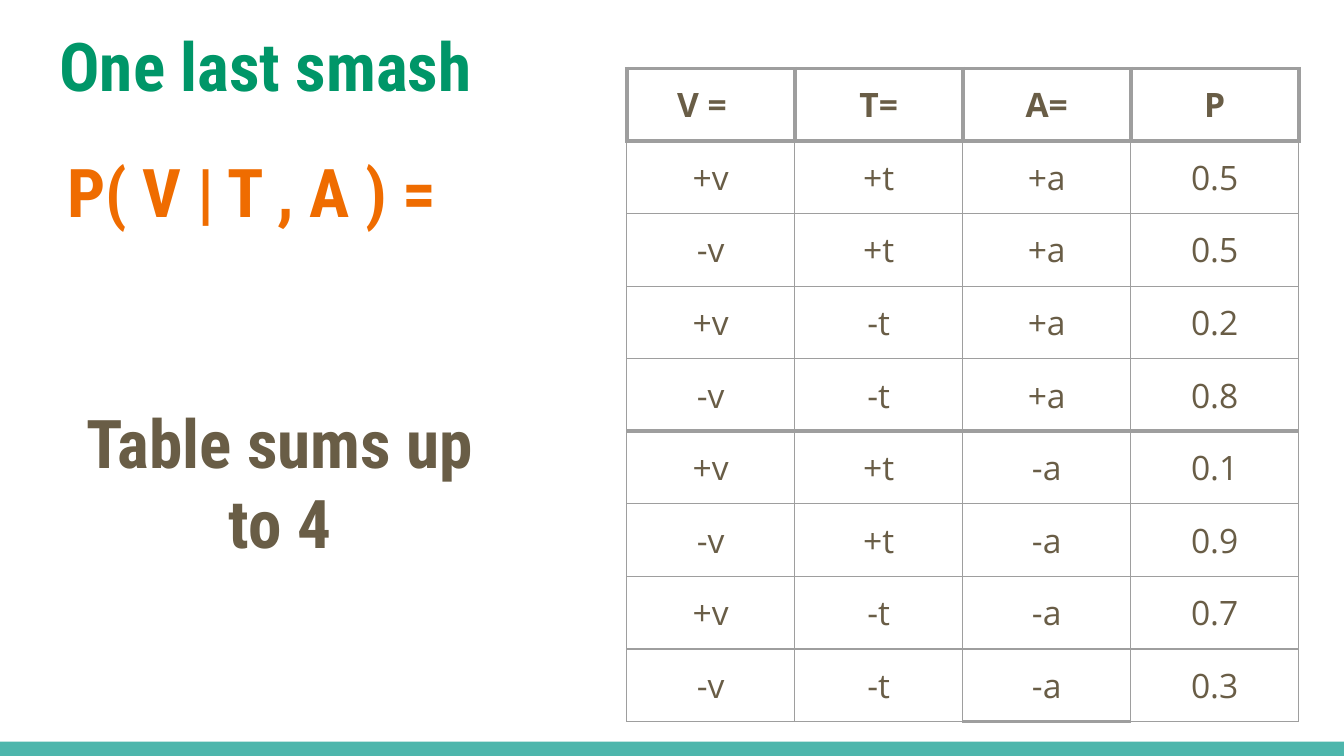
from itertools import product
from lxml.etree import SubElement as Sub
from pptx import Presentation
from pptx.dml.color import RGBColor as RGB
from pptx.enum.shapes import MSO_SHAPE as Shape
from pptx.enum.text import MSO_ANCHOR as Anchor, PP_ALIGN as Align
from pptx.oxml.ns import qn
from pptx.util import Inches, Pt

WIDE = 10
HIGH = WIDE * 9 / 16
INK = {"bar": "4DB6AC", "title": "009668", "math": "EF6C00", "text": "695D46", "line": "9E9E9E"}
HEAD = ["V =", "T=", "A=", "P"]
ODDS = ["0.5", "0.5", "0.2", "0.8", "0.1", "0.9", "0.7", "0.3"]
THIN, THICK = 0.75, 2.25


def place(left, top, width, height):
    """Turn percent shares of the slide into lengths."""
    return [Inches(share * side / 100) for share, side in
            zip((left, top, width, height), (WIDE, HIGH, WIDE, HIGH))]


def style(para, face, size, ink, bold=True, align=Align.LEFT):
    """Format a paragraph and its runs."""
    para.alignment = align
    for run in para.runs:
        font = run.font
        font.name, font.size, font.bold = face, Pt(size), bold
        font.color.rgb = RGB.from_string(INK[ink])


def add_bar(slide):
    """Draw the band along the foot of the slide."""
    bar = slide.shapes.add_shape(Shape.RECTANGLE, *place(0, 98.1, 100, 1.9))
    bar.shadow.inherit = False
    bar.fill.solid()
    bar.fill.fore_color.rgb = RGB.from_string(INK["bar"])
    bar.line.fill.background()


def add_text(slide, text, area, ink, align=Align.LEFT):
    """Add a large bold heading."""
    frame = slide.shapes.add_textbox(*place(*area)).text_frame
    frame.word_wrap = True
    frame.margin_left = frame.margin_right = Inches(0.1)
    frame.margin_top = frame.margin_bottom = Inches(0.1)
    frame.text = text
    style(frame.paragraphs[0], "Roboto Condensed", 36, ink, align=align)


def add_edges(cell, sides):
    """Rule the four sides of a cell with the given widths."""
    props = cell._tc.get_or_add_tcPr()
    for spot, (side, width) in enumerate(sides.items()):
        edge = Sub(props, qn(f"a:ln{side}"), w=str(Pt(width)))
        fill = Sub(edge, qn("a:solidFill"))
        Sub(fill, qn("a:srgbClr"), val=INK["line"])
        props.insert(spot, edge)


def get_sides(row, col):
    """Give the rule widths for a cell by its place."""
    base = THIN if row else THICK
    top = THICK if row in (0, 1, 5) else THIN
    foot = THICK if row in (0, 4) or (row, col) == (8, 2) else THIN
    return {"L": base, "R": base, "T": top, "B": foot}


def fill_cell(cell, text, row, col):
    """Write, format and rule one cell."""
    cell.fill.background()
    cell.vertical_anchor = Anchor.MIDDLE
    cell.margin_left = cell.margin_right = Inches(0.1)
    cell.margin_top = cell.margin_bottom = Inches(0.1)
    cell.text = text
    style(cell.text_frame.paragraphs[0], "Open Sans", 18, "text", row == 0, Align.CENTER)
    add_edges(cell, get_sides(row, col))


def add_odds(slide):
    """Build the table of conditional odds."""
    states = product(("+a", "-a"), ("+t", "-t"), ("+v", "-v"))
    rows = [HEAD] + [[v, t, a, odd] for (a, t, v), odd in zip(states, ODDS)]
    area = place(46.63, 9.07, 50, 86.4)
    table = slide.shapes.add_table(len(rows), len(HEAD), *area).table
    table.first_row = table.horz_banding = False
    for row, texts in enumerate(rows):
        for col, text in enumerate(texts):
            fill_cell(table.cell(row, col), text, row, col)
    table.cell(0, 0).margin_right = Inches(0.23)


def main():
    """Build and save the slide."""
    deck = Presentation()
    deck.slide_width, deck.slide_height = Inches(WIDE), Inches(HIGH)
    slide = deck.slides.add_slide(deck.slide_layouts[6])
    add_bar(slide)
    add_text(slide, "One last smash", (3.44, 1.42, 93.2, 13.7), "title")
    add_odds(slide)
    add_text(slide, "P( V | T , A ) =", (4.04, 18.15, 41.7, 13.7), "math")
    add_text(slide, "Table sums up to 4", (3.13, 51.25, 35.4, 13.7), "text", Align.CENTER)
    deck.save("out.pptx")


if __name__ == "__main__":
    main()
